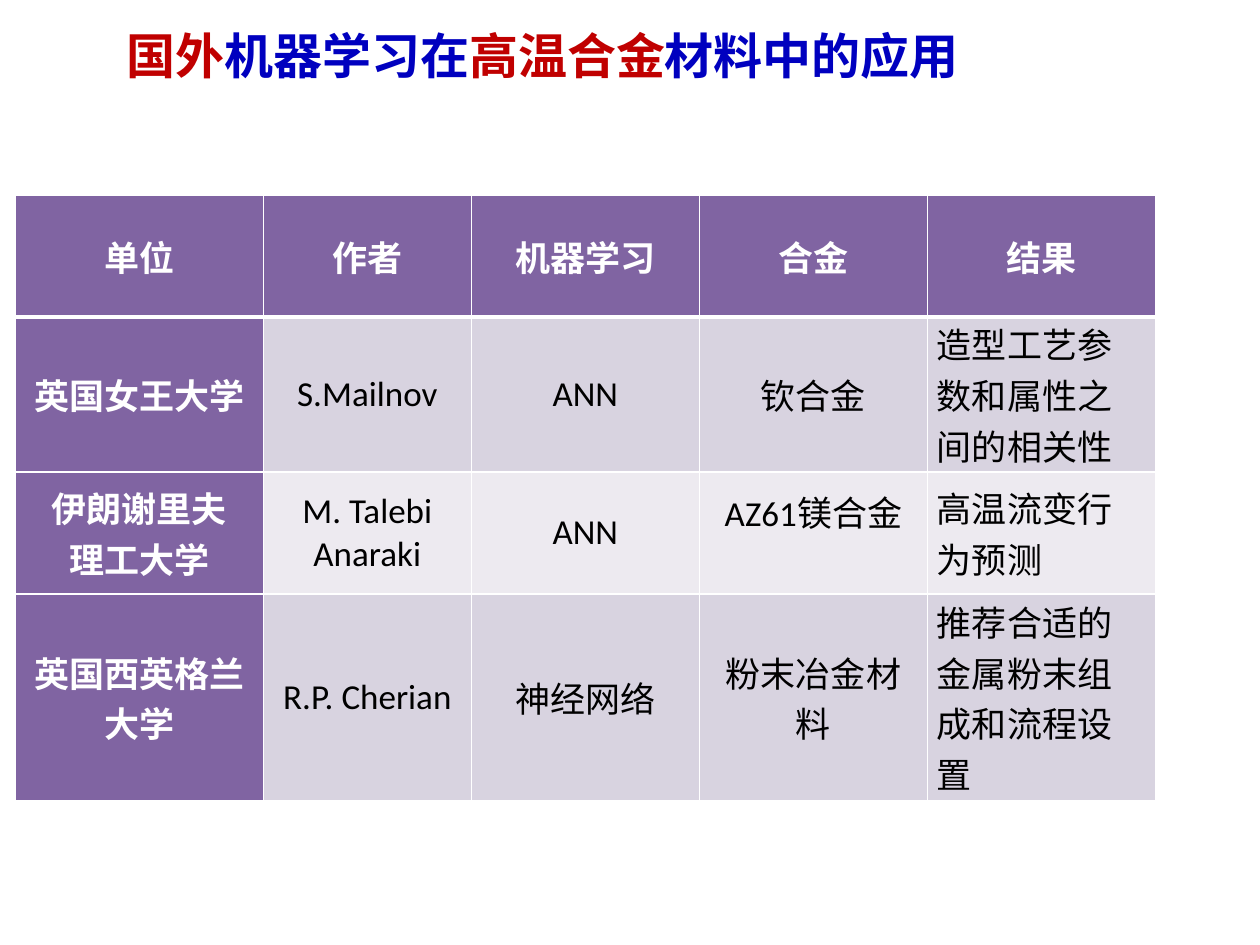
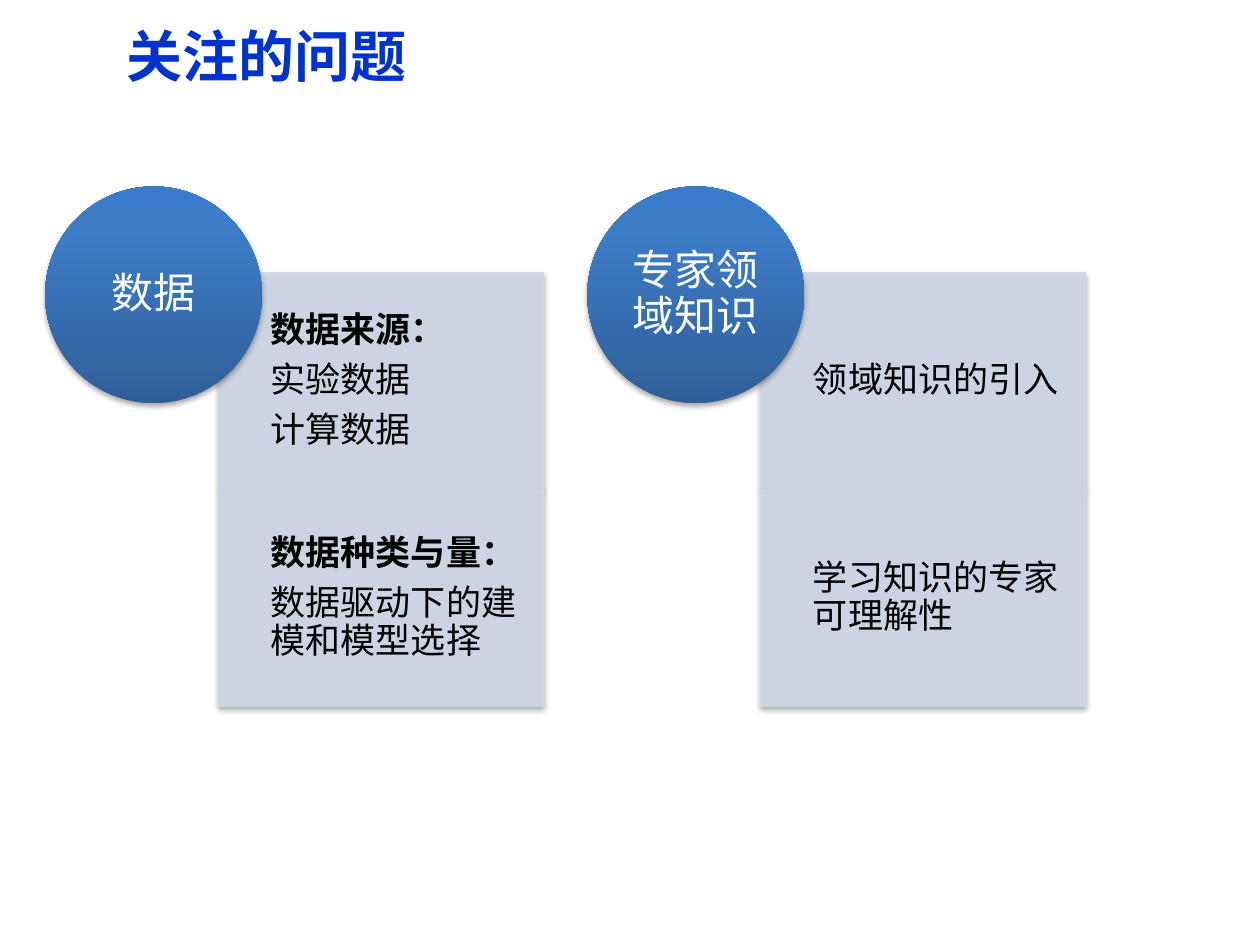
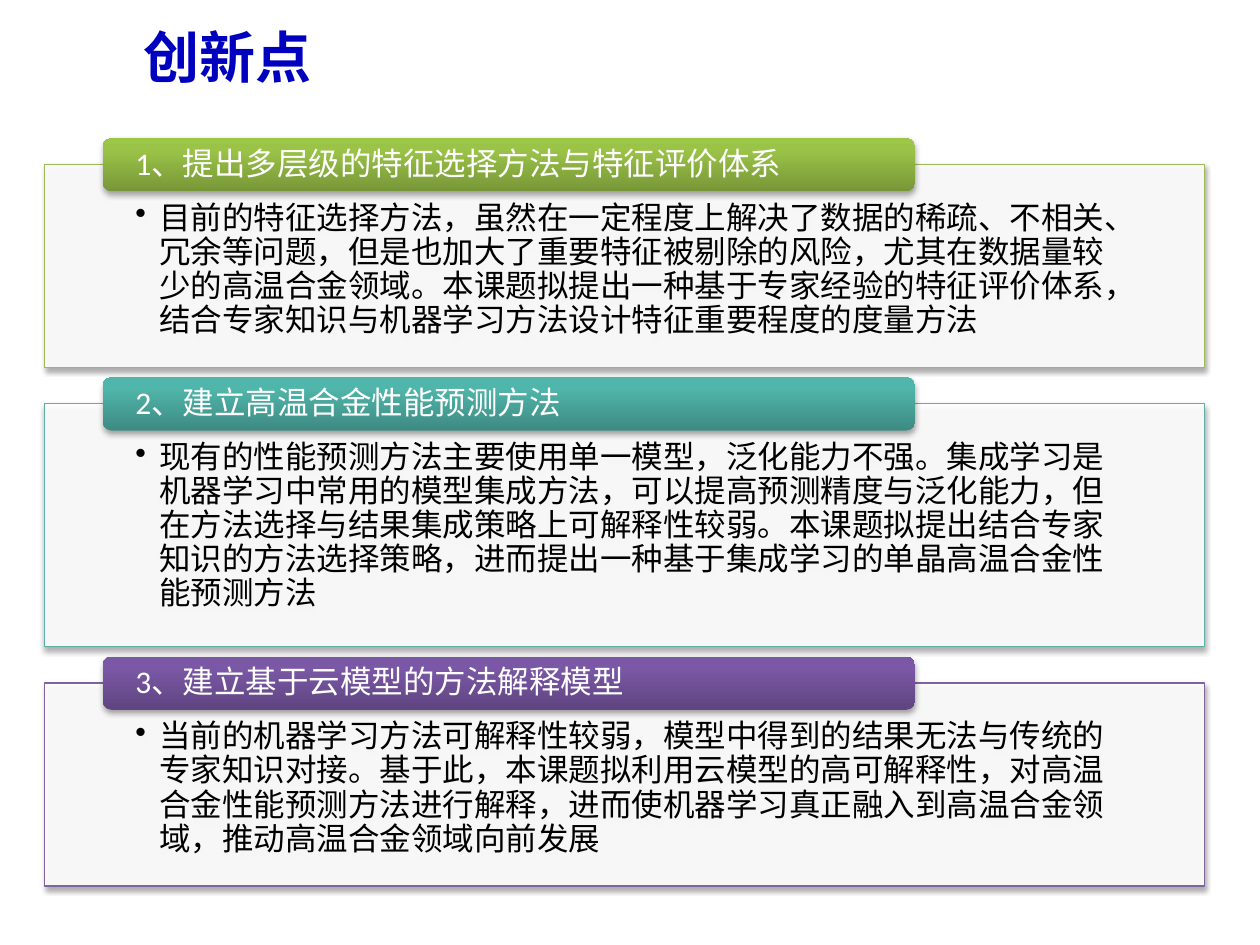
from pptx import Presentation, util as u
from pptx.dml.color import RGBColor
from pptx.enum import lang, shapes, text
from pptx.oxml import parse_xml
from pptx.oxml.ns import nsdecls, qn

CJK, LATIN = "Noto Sans CJK SC", "Calibri"
NAVY, BLUE, RED = "0000BF", "0033CC", "C00000"
WHITE, BLACK, PURPLE = "FFFFFF", "000000", "8064A2"
PALE, BANDS = "D0D8E8", ("D8D3E0", "EDEAF0")
SKY = ("2F5F99", "3D7CC7", "3A7CCB")
PITCH = 0.9  # line spacing inside diagrams
MID, LEFT, CENTER = text.MSO_ANCHOR.MIDDLE, text.PP_ALIGN.LEFT, text.PP_ALIGN.CENTER

HEADS = ["单位", "作者", "机器学习", "合金", "结果"]
STUDIES = [
    ["英国女王大学", "S.Mailnov", "ANN", "钦合金", "造型工艺参数和属性之间的相关性"],
    ["伊朗谢里夫\n理工大学", "M. Talebi Anaraki", "ANN", "AZ61镁合金", "高温流变行为预测"],
    ["英国西英格兰大学", "R.P. Cherian", "神经网络", "粉末冶金材料",
     "推荐合适的金属粉末组成和流程设置"],
]
TOPICS = [
    ("数据", ["数据来源：\n实验数据\n计算数据", "数据种类与量：\n数据驱动下的建模和模型选择"]),
    ("专家领域知识", ["领域知识的引入", "学习知识的专家可理解性"]),
]
IDEAS = [
    ("1、提出多层级的特征选择方法与特征评价体系",
     "目前的特征选择方法，虽然在一定程度上解决了数据的稀疏、不相关、冗余等问题，"
     "但是也加大了重要特征被剔除的风险，尤其在数据量较少的高温合金领域。"
     "本课题拟提出一种基于专家经验的特征评价体系，"
     "结合专家知识与机器学习方法设计特征重要程度的度量方法",
     4.09, "9BBB59", ("779737", "9BC348", "9DC746")),
    ("2、建立高温合金性能预测方法",
     "现有的性能预测方法主要使用单一模型，泛化能力不强。"
     "集成学习是机器学习中常用的模型集成方法，可以提高预测精度与泛化能力，"
     "但在方法选择与结果集成策略上可解释性较弱。"
     "本课题拟提出结合专家知识的方法选择策略，"
     "进而提出一种基于集成学习的单晶高温合金性能预测方法",
     4.9, "5EAFA6", ("3D8B83", "50B5AA", "4EB8AC")),
    ("3、建立基于云模型的方法解释模型",
     "当前的机器学习方法可解释性较弱，模型中得到的结果无法与传统的专家知识对接。"
     "基于此，本课题拟利用云模型的高可解释性，对高温合金性能预测方法进行解释，"
     "进而使机器学习真正融入到高温合金领域，推动高温合金领域向前发展",
     4.09, PURPLE, ("5F4480", "7B58A6", "7C57A8")),
]


def rgb(code):
    return RGBColor.from_string(code)


def style(run, size, color, bold=False, face=LATIN):
    font = run.font
    font.size, font.bold, font.name = u.Pt(size), bold, face
    font.color.rgb = rgb(color)
    font.language_id = lang.MSO_LANGUAGE_ID.SIMPLIFIED_CHINESE
    run._r.get_or_add_rPr().append(parse_xml(f'<a:ea {nsdecls("a")} typeface="{CJK}"/>'))


def pad(frame, left, top, right, low):
    frame.margin_left, frame.margin_top = u.Cm(left), u.Cm(top)
    frame.margin_right, frame.margin_bottom = u.Cm(right), u.Cm(low)


def title(deck, parts, size, left=2.3, top=0.0):
    """Add a title-only slide; parts are (words, color) pairs."""
    slide = deck.slides.add_slide(deck.slide_layouts[5])
    box = slide.shapes.title
    box.left, box.top, box.width, box.height = map(u.Cm, (left, top, 22.86, 2.21))
    frame = box.text_frame
    frame.vertical_anchor, frame.auto_size = MID, text.MSO_AUTO_SIZE.NONE
    para = frame.paragraphs[0]
    para.alignment = LEFT
    for words, color in parts:
        run = para.add_run()
        run.text = words
        style(run, size, color, True, CJK)
    return slide


def block(slide, kind, left, top, width, height):
    """Add a preset shape with the soft shadow below it."""
    shape = slide.shapes.add_shape(kind, *map(u.Cm, (left, top, width, height)))
    shape.shadow.inherit = False
    shape._element.spPr.find(qn("a:effectLst")).append(parse_xml(
        f'<a:outerShdw {nsdecls("a")} blurRad="40000" dist="23000" dir="5400000" '
        'rotWithShape="0"><a:srgbClr val="000000"><a:alpha val="35000"/>'
        '</a:srgbClr></a:outerShdw>'))
    return shape


def sheer(shape, fill, line, fade_line=False):
    """Fill at 90% opacity, with a thin line."""
    shape.fill.solid()
    shape.fill.fore_color.rgb = rgb(fill)
    shape.line.color.rgb = rgb(line)
    shape.line.width = u.Pt(0.75)
    colors = list(shape._element.spPr.iterchildren(qn("a:solidFill")))
    if fade_line:
        colors.append(shape.line._ln.find(qn("a:solidFill")))
    for item in colors:
        item[0].append(parse_xml(f'<a:alpha {nsdecls("a")} val="90000"/>'))


def glow(shape, colors):
    """Fill with a gradient from bottom to top, without a line."""
    stops = "".join(f'<a:gs pos="{pos}000"><a:srgbClr val="{color}"/></a:gs>'
                    for pos, color in zip((0, 80, 100), colors))
    shape._element.spPr.insert(2, parse_xml(
        f'<a:gradFill {nsdecls("a")} rotWithShape="1"><a:gsLst>{stops}</a:gsLst>'
        '<a:lin ang="16200000" scaled="0"/></a:gradFill>'))
    shape.line.fill.background()


def write(shape, words, size, color, pads, align=LEFT, anchor=MID, bullet=False):
    """Fill a shape with text; a line that ends in a colon is bold."""
    frame = shape.text_frame
    frame.text, frame.word_wrap, frame.vertical_anchor = words, True, anchor
    pad(frame, *pads)
    for para in frame.paragraphs:
        if bullet:
            props = para._p.get_or_add_pPr()
            props.set("marL", str(u.Cm(0.48)))
            props.set("indent", str(-u.Cm(0.48)))
            props.append(parse_xml(f'<a:buChar {nsdecls("a")} char="•"/>'))
        para.alignment, para.line_spacing = align, PITCH
        para.space_after = u.Pt(size * (0.15 if bullet else 0.35))
        for run in para.runs:
            style(run, size, color, run.text.endswith("："))


def edge(cell, side, width):
    cell._tc.get_or_add_tcPr().append(parse_xml(
        f'<a:ln{side} {nsdecls("a")} w="{u.Pt(width)}"><a:solidFill>'
        f'<a:srgbClr val="{WHITE}"/></a:solidFill></a:ln{side}>'))


def grid(slide, rows, left, top, widths, heights):
    """Add a table with a strong first row and first column."""
    table = slide.shapes.add_table(
        len(rows), len(widths), u.Cm(left), u.Cm(top),
        u.Cm(sum(widths)), u.Cm(sum(heights))).table
    for col, width in zip(table.columns, widths):
        col.width = u.Cm(width)
    for r, (row, height) in enumerate(zip(rows, heights)):
        table.rows[r].height = u.Cm(height)
        for c, words in enumerate(row):
            cell = table.cell(r, c)
            strong = r == 0 or c == 0
            for side in "LRTB":
                thick = (r, side) in ((0, "B"), (1, "T"))
                edge(cell, side, 3 if thick else 1)
            cell.fill.solid()
            cell.fill.fore_color.rgb = rgb(PURPLE if strong else BANDS[(r - 1) % 2])
            cell.text, cell.vertical_anchor = words, MID
            pad(cell, 0.19, 0, 0.19, 0)
            for para in cell.text_frame.paragraphs:
                para.alignment = LEFT if r and c == len(row) - 1 else CENTER
                for run in para.runs:
                    style(run, 20, WHITE if strong else BLACK, strong)
    return table


def topic(slide, left, name, notes):
    """Add stacked notes with a circle over their corner."""
    size, top = 4.37, 3.76
    for i, note in enumerate(notes):
        card = block(slide, shapes.MSO_SHAPE.RECTANGLE,
                     left + 3.49, top + 1.74 + i * size, 6.56, size)
        sheer(card, PALE, PALE, True)
        write(card, note, 20, BLACK, (1.06, 0.41, 0.41, 0.41))
    disc = block(slide, shapes.MSO_SHAPE.OVAL, left, top, size, size)
    glow(disc, SKY)
    write(disc, name, 24, WHITE, (0, 0, 0, 0), CENTER)


def idea(slide, top, head, body, height, line, colors):
    """Add a framed text with a heading tab on its top edge."""
    frame = block(slide, shapes.MSO_SHAPE.RECTANGLE, 0.9, top, 23.39, height)
    sheer(frame, WHITE, line)
    write(frame, body, 18, BLACK, (1.83, 0.76, 1.83, 0.36),
          anchor=text.MSO_ANCHOR.TOP, bullet=True)
    tab = block(slide, shapes.MSO_SHAPE.ROUNDED_RECTANGLE, 2.07, top - 0.53, 16.38, 1.07)
    glow(tab, colors)
    write(tab, head, 18, WHITE, (0.61, 0, 0.61, 0))


def main():
    deck = Presentation()
    deck.slide_width, deck.slide_height = u.Cm(25.4), u.Cm(19.05)

    # Studies abroad
    slide = title(deck, [("国外", RED), ("机器学习在", NAVY),
                         ("高温合金", RED), ("材料中的应用", NAVY)], 28)
    table = grid(slide, [HEADS] + STUDIES, 0.31, 3.93,
                 [5, 4.19, 4.6, 4.6, 4.6], [2.46, 3.12, 2.46, 4.17])
    table.cell(2, 3).margin_bottom = u.Cm(0.86)

    # Questions
    slide = title(deck, [("关注的问题", BLUE)], 32)
    for i, (name, notes) in enumerate(TOPICS):
        topic(slide, 0.91 + i * 10.93, name, notes)

    # New ideas
    slide = title(deck, [("创新点", NAVY)], 32, 2.64, 0.03)
    top = 3.32
    for head, body, height, line, colors in IDEAS:
        idea(slide, top, head, body, height, line, colors)
        top += height + 0.73

    deck.save("out.pptx")


if __name__ == "__main__":
    main()
